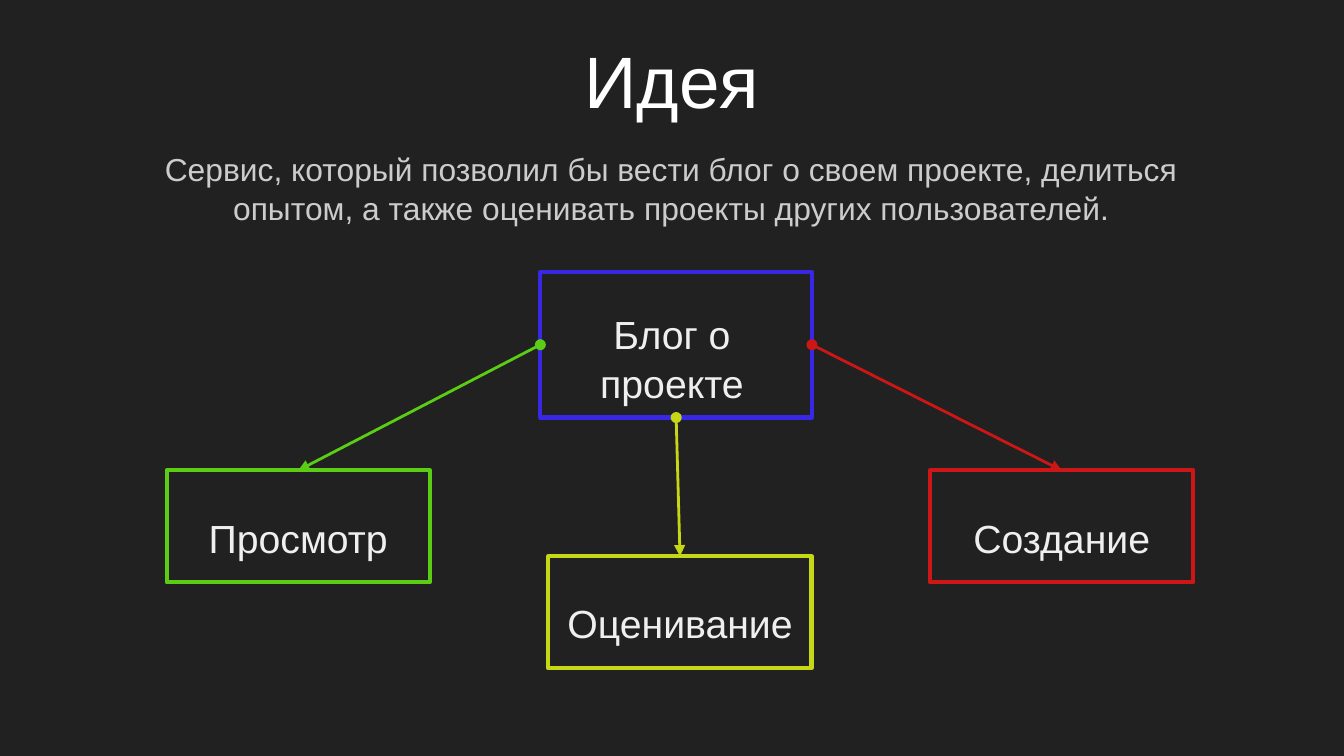
import pptx
import pptx.util
import pptx.dml.color
import pptx.enum.shapes
import pptx.enum.text
import pptx.oxml.ns
import lxml.etree

Pt = pptx.util.Pt


def color(hex_string):
    return pptx.dml.color.RGBColor.from_string(hex_string)


def write(shape, text, left, top, width, height, size, fill):
    shape.left, shape.top = Pt(left), Pt(top)
    shape.width, shape.height = Pt(width), Pt(height)
    frame = shape.text_frame
    frame.word_wrap = True
    frame.auto_size = pptx.enum.text.MSO_AUTO_SIZE.NONE
    frame.vertical_anchor = pptx.enum.text.MSO_ANCHOR.TOP
    frame.margin_left = frame.margin_right = frame.margin_bottom = Pt(7.2)
    frame.margin_top = Pt(7.2 + size * 0.05)
    para = frame.paragraphs[0]
    para.alignment = pptx.enum.text.PP_ALIGN.CENTER
    para.line_spacing = 1.04
    para.space_before = Pt(0)
    span = para.add_run()
    span.text = text
    span.font.size = Pt(size)
    span.font.name = "Arial"
    span.font.color.rgb = color(fill)


deck = pptx.Presentation()
deck.slide_width, deck.slide_height = Pt(720), Pt(405)
page = deck.slides.add_slide(deck.slide_layouts[5])
page.background.fill.solid()
page.background.fill.fore_color.rgb = color("212121")
shapes = page.shapes

write(shapes.title, "Идея", left=24.5, top=8, width=671, height=31.7, size=39, fill="FFFFFF")
write(shapes.add_textbox(0, 0, 0, 0),
      "Сервис, который позволил бы вести блог о своем проекте, делиться опытом, "
      "а также оценивать проекты других пользователей.",
      left=72.7, top=71.3, width=574, height=42.5, size=17, fill="CCCCCC")

boxes = []
for left, top, width, height, line_color in [
    (289.5, 145.7, 145.5, 78, "3828E6"),
    (89.3, 252, 141, 60, "5BCD15"),
    (293.8, 298, 141, 60, "C6D716"),
    (498.3, 252, 141, 60, "CD1616"),
]:
    box = shapes.add_shape(pptx.enum.shapes.MSO_SHAPE.RECTANGLE,
                           Pt(left), Pt(top), Pt(width), Pt(height))
    box.shadow.inherit = False
    box.fill.background()
    box.line.color.rgb = color(line_color)
    box.line.width = Pt(2.25)
    lxml.etree.SubElement(box.line._get_or_add_ln(), pptx.oxml.ns.qn("a:round"))
    boxes.append(box)

blog, *actions = boxes
for action, start_site in zip(actions, [1, 2, 3]):
    arrow = shapes.add_connector(pptx.enum.shapes.MSO_CONNECTOR.STRAIGHT, 0, 0, 0, 0)
    arrow.begin_connect(blog, start_site)
    arrow.end_connect(action, 0)
    arrow.line.color.rgb = color(str(action.line.color.rgb))
    arrow.line.width = Pt(1.5)
    line = arrow.line._get_or_add_ln()
    for tag, kind in [("a:headEnd", "oval"), ("a:tailEnd", "triangle")]:
        lxml.etree.SubElement(line, pptx.oxml.ns.qn(tag), type=kind)
    lxml.etree.SubElement(arrow._element.spPr, pptx.oxml.ns.qn("a:effectLst"))

for text, left, top, width, height in [
    ("Блог о проекте", 304.5, 157, 111, 55.4),
    ("Просмотр", 104.3, 266.3, 111, 31.7),
    ("Оценивание", 293.8, 312, 141, 31.7),
    ("Создание", 513.3, 266.3, 111, 31.7),
]:
    write(shapes.add_textbox(0, 0, 0, 0), text, left=left, top=top,
          width=width, height=height, size=21, fill="EFEFEF")

deck.save("out.pptx")
